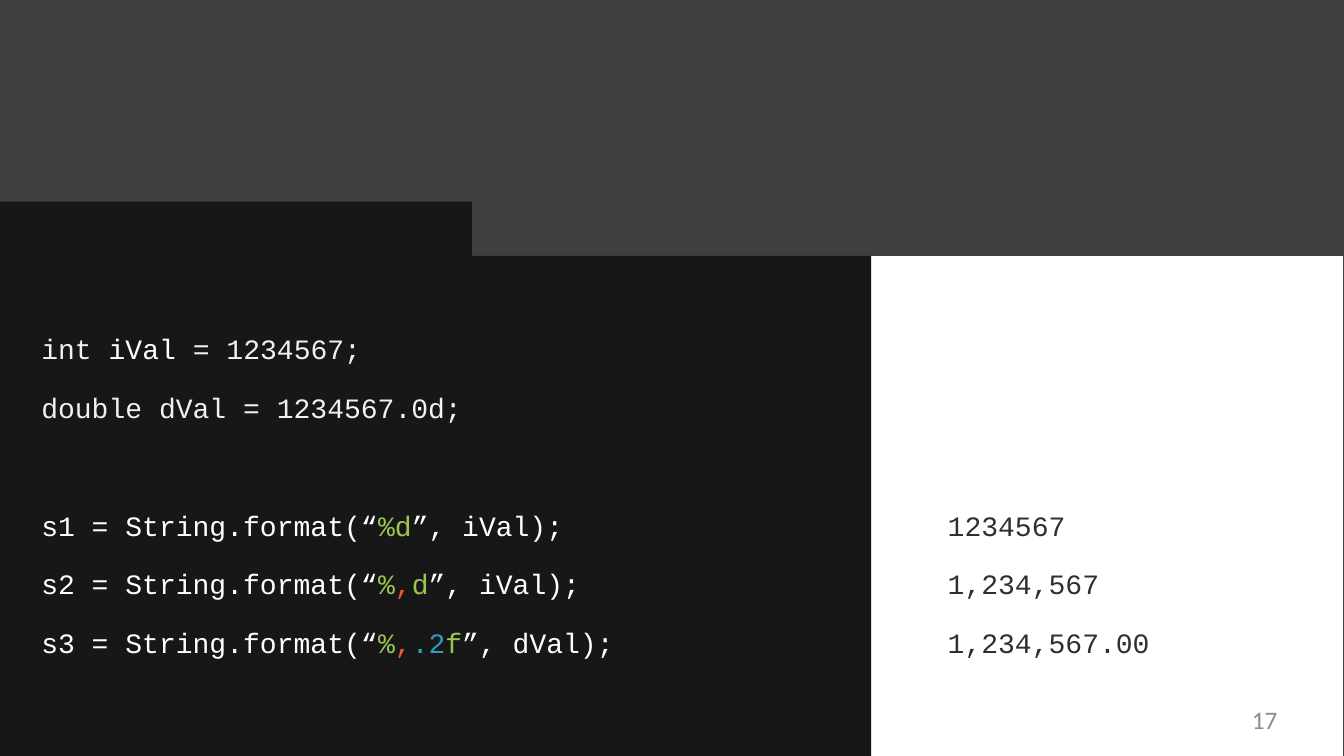
from pptx import Presentation
from pptx.dml.color import RGBColor
from pptx.enum.shapes import MSO_SHAPE
from pptx.enum.text import PP_ALIGN
from pptx.util import Inches, Pt

GRAY = RGBColor(0x40, 0x40, 0x40)
BLACK = RGBColor(0x17, 0x17, 0x17)
WHITE = RGBColor(0xFF, 0xFF, 0xFF)
PALE = RGBColor(0xF1, 0xF1, 0xF1)
INK = RGBColor(0x2F, 0x2F, 0x2F)
MUTED = RGBColor(0x8C, 0x8C, 0x8C)
GREEN = RGBColor(0x9B, 0xC7, 0x50)
RED = RGBColor(0xEF, 0x5A, 0x28)
BLUE = RGBColor(0x2A, 0x9F, 0xBB)

WIDE, HIGH = 13.33, 7.5
SPLIT = 8.64
BAND = 2.54
CODE_X = 0.41


def paint(shape, color):
    shape.shadow.inherit = False
    shape.fill.solid()
    shape.fill.fore_color.rgb = color
    shape.line.fill.background()


def add_block(slide, left, top, width, height, color):
    block = slide.shapes.add_shape(
        MSO_SHAPE.RECTANGLE, Inches(left), Inches(top), Inches(width), Inches(height))
    paint(block, color)


def add_panel(slide, points, color):
    """Draw a closed outline through points given in inches."""
    corners = [(Inches(x), Inches(y)) for x, y in points]
    pen = slide.shapes.build_freeform(*corners[0])
    pen.add_line_segments(corners[1:], close=True)
    paint(pen.convert_to_shape(), color)


def add_text(slide, lines, left, top, width, height, *, color, font="Courier New",
             size=20, gap=18, pitch=None, align=PP_ALIGN.LEFT):
    """Write lines; each is a string or a list of strings and (string, color) pairs."""
    box = slide.shapes.add_textbox(
        Inches(left), Inches(top), Inches(width), Inches(height))
    frame = box.text_frame
    frame.word_wrap = True
    frame.margin_left = frame.margin_right = frame.margin_bottom = 0
    frame.margin_top = Inches(0.02)
    for i, line in enumerate(lines):
        para = frame.paragraphs[0] if i == 0 else frame.add_paragraph()
        para.alignment = align
        if i:
            para.space_before = Pt(gap)
            if pitch:
                para.line_spacing = Pt(pitch)
        for part in [line] if isinstance(line, str) else line:
            text, tint = (part, color) if isinstance(part, str) else part
            run = para.add_run()
            run.text = text
            run.font.name = font
            run.font.size = Pt(size)
            run.font.color.rgb = tint


def format_call(name, marks, value):
    return [f"{name} = String.format(“", *marks, f"”, {value});"]


def main():
    deck = Presentation()
    deck.slide_width, deck.slide_height = Inches(WIDE), Inches(HIGH)
    slide = deck.slides.add_slide(deck.slide_layouts[6])

    add_block(slide, 0, 0, WIDE, HIGH, GRAY)
    add_block(slide, SPLIT, BAND, 4.68, HIGH - BAND, WHITE)
    add_panel(slide, [(0, 2), (4.68, 2), (4.68, BAND), (SPLIT, BAND),
                      (SPLIT, HIGH), (0, HIGH)], BLACK)

    add_text(slide, ["1234567", "1,234,567", "1,234,567.00"],
             9.4, 5.02, 2.03, 1.53, color=INK)
    add_text(slide, [["int ", ("iVal ", WHITE), "= 1234567;"],
                     "double dVal = 1234567.0d;"],
             CODE_X, 3.27, 4.5, 0.95, color=PALE)

    percent, comma = ("%", GREEN), (",", RED)
    calls = [
        format_call("s1", [("%d", GREEN)], "iVal"),
        format_call("s2", [percent, comma, ("d", GREEN)], "iVal"),
        format_call("s3", [percent, comma, (".2", BLUE), ("f", GREEN)], "dVal"),
    ]
    add_text(slide, calls, CODE_X, 5.02, 6, 1.53, color=WHITE, gap=0, pitch=42)
    add_text(slide, ["17"], 9.6, 6.97, 3.07, 0.38, color=MUTED,
             font="Calibri", size=18, align=PP_ALIGN.RIGHT)

    deck.save("out.pptx")


if __name__ == "__main__":
    main()
